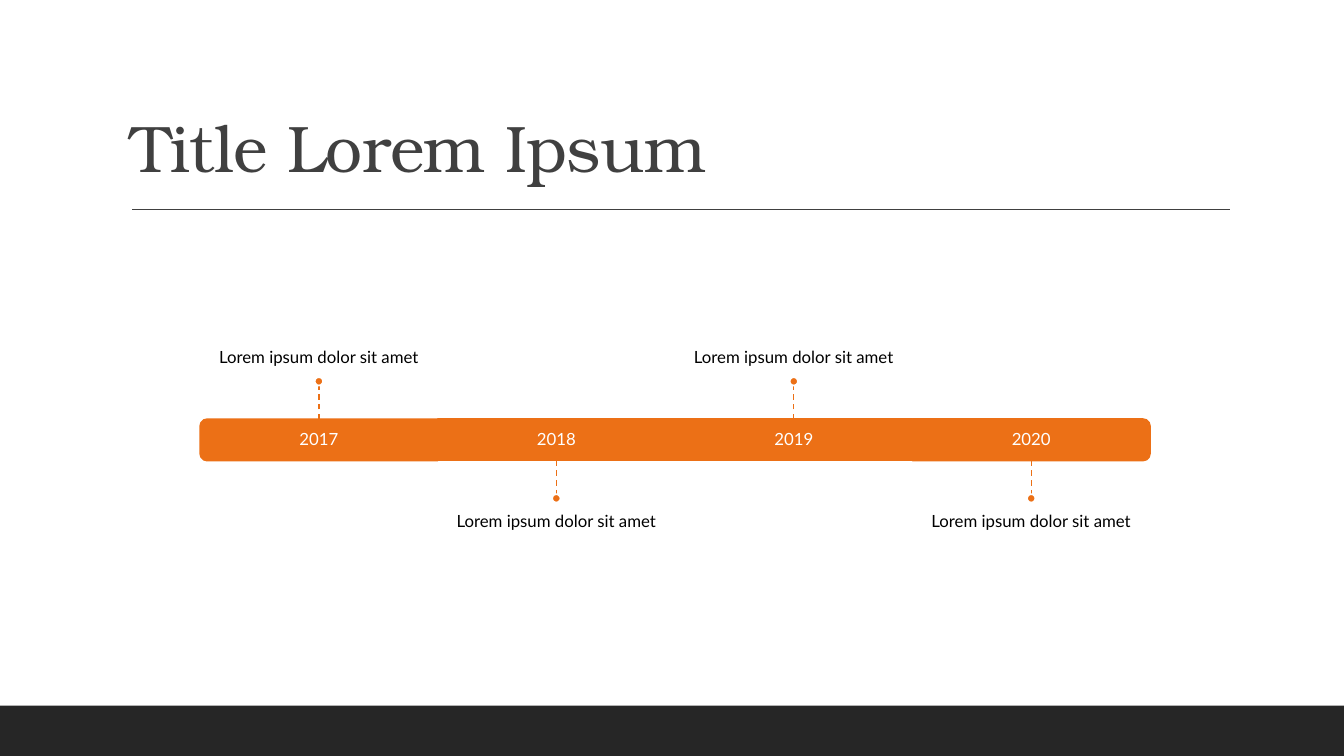
from lxml.etree import SubElement
from pptx import Presentation
from pptx.dml.color import RGBColor
from pptx.enum.dml import MSO_LINE
from pptx.enum.shapes import MSO_CONNECTOR, MSO_SHAPE
from pptx.enum.text import MSO_ANCHOR, PP_ALIGN
from pptx.oxml.ns import qn
from pptx.util import Pt

COLORS = {
    "accent": "EC7016",
    "white": "FFFFFF",
    "black": "000000",
    "title": "404040",
    "footer": "262626",
}
TITLE_FORMAT = {"name": "TeX Gyre Bonum", "size": Pt(47)}
BODY_FORMAT = {"name": "Lato", "size": Pt(12)}
MILESTONES = [
    (year, "Lorem ipsum dolor sit amet")
    for year in ("2017", "2018", "2019", "2020")
]


def rgb(color):
    return RGBColor.from_string(COLORS[color])


def add_filled_shape(slide, kind, box, fill, line=None):
    shape = slide.shapes.add_shape(kind, *map(Pt, box))
    shape.shadow.inherit = False
    shape.fill.solid()
    shape.fill.fore_color.rgb = rgb(fill)
    if line:
        shape.line.color.rgb = rgb(line)
        shape.line.width = Pt(1.25)
    else:
        shape.line.fill.background()
    return shape


def add_line(slide, start, end, color, dash=None):
    line = slide.shapes.add_connector(
        MSO_CONNECTOR.STRAIGHT, *map(Pt, (*start, *end)))
    line.line.color.rgb = rgb(color)
    line.line.width = Pt(1)
    if dash:
        line.line.dash_style = dash
    SubElement(line._element.spPr, qn("a:effectLst"))


def add_text(slide, box, text, text_format, color, anchor, align, insets):
    frame = slide.shapes.add_textbox(*map(Pt, box)).text_frame
    frame.word_wrap = True
    frame.vertical_anchor = anchor
    for side, inset in zip(("left", "top", "right", "bottom"), insets):
        setattr(frame, f"margin_{side}", Pt(inset))
    paragraph = frame.paragraphs[0]
    paragraph.alignment = align
    paragraph.line_spacing = 0.9
    run = paragraph.add_run()
    run.text = text
    for attribute, value in text_format.items():
        setattr(run.font, attribute, value)
    run.font.color.rgb = rgb(color)
    return run


def add_footer(slide, box):
    add_filled_shape(slide, MSO_SHAPE.RECTANGLE, box, "footer")


def add_title(slide, box, text):
    left, top, width, height = box
    run = add_text(slide, box, text, TITLE_FORMAT, "title",
                   MSO_ANCHOR.BOTTOM, PP_ALIGN.LEFT, (7.2, 3.6, 7.2, 3.6))
    run.font._element.set("spc", "-50")
    # Rule under the title
    rule_y = top + height + 12.7
    add_line(slide, (left + 8, rule_y), (left + width, rule_y), "title")


def add_bar_segment(slide, box, year, rotation):
    left, top, width, height = box
    if rotation is None:
        add_filled_shape(slide, MSO_SHAPE.RECTANGLE, box, "accent", "accent")
    else:
        # The rounded end is drawn upright, then turned about its centre
        upright = (left + (width - height) / 2, top + (height - width) / 2,
                   height, width)
        end = add_filled_shape(slide, MSO_SHAPE.ROUND_2_SAME_RECTANGLE,
                               upright, "accent", "accent")
        end.rotation = rotation
    add_text(slide, box, year, BODY_FORMAT, "white",
             MSO_ANCHOR.MIDDLE, PP_ALIGN.CENTER, (7.2,) * 4)


def add_callout(slide, box, label, above):
    left, top, width, height = box
    center = left + width / 2
    stem, dot, label_width, label_height = 24, 6, 283, 104.4
    edge, direction = (top, -1) if above else (top + height, 1)
    stem_end = edge + direction * stem
    label_edge = stem_end + direction * dot

    # Label
    label_top = label_edge - label_height if above else label_edge
    add_text(slide,
             (center - label_width / 2, label_top, label_width, label_height),
             label, BODY_FORMAT, "black",
             MSO_ANCHOR.BOTTOM if above else MSO_ANCHOR.TOP, PP_ALIGN.CENTER,
             (0, 0, 0, 7.2) if above else (0, 7.2, 0, 0))
    # Dashed stem and dot
    add_line(slide, (center, edge), (center, stem_end), "accent",
             MSO_LINE.DASH)
    add_filled_shape(slide, MSO_SHAPE.OVAL,
                     (center - dot / 2, min(stem_end, label_edge), dot, dot),
                     "accent", "white")


def add_timeline(slide, box, milestones):
    left, top, width, height = box
    segment_width = width / len(milestones)
    rotations = {0: 270, len(milestones) - 1: 90}
    for index, (year, label) in enumerate(milestones):
        segment = (left + index * segment_width, top, segment_width, height)
        add_bar_segment(slide, segment, year, rotations.get(index))
        add_callout(slide, segment, label, above=index % 2 == 0)


def main():
    presentation = Presentation()
    presentation.slide_width = Pt(960)
    presentation.slide_height = Pt(540)
    slide = presentation.slides.add_slide(presentation.slide_layouts[6])

    add_footer(slide, (0, 504, 960, 36))
    add_title(slide, (86.4, 22.5, 792, 114.4), "Title Lorem Ipsum")
    add_timeline(slide, (143, 299.4, 678.4, 29.6), MILESTONES)
    presentation.save("out.pptx")


if __name__ == "__main__":
    main()
